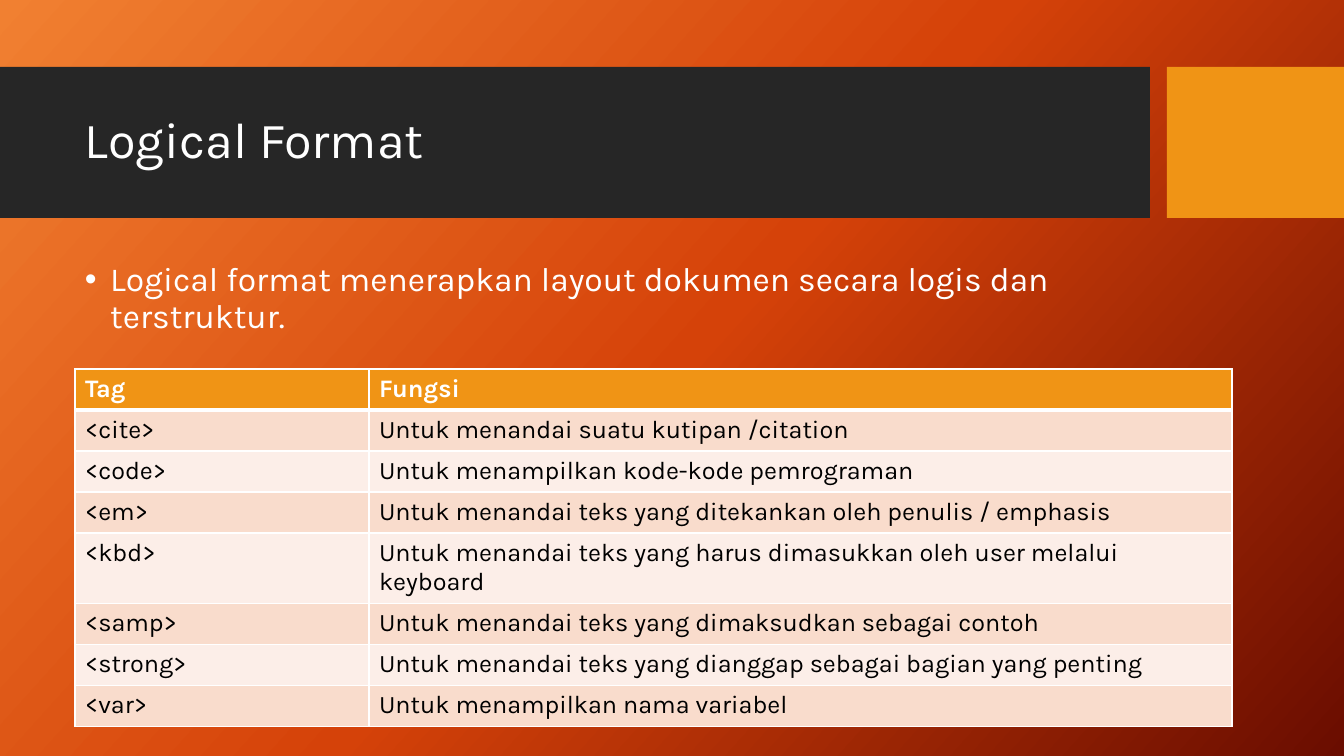
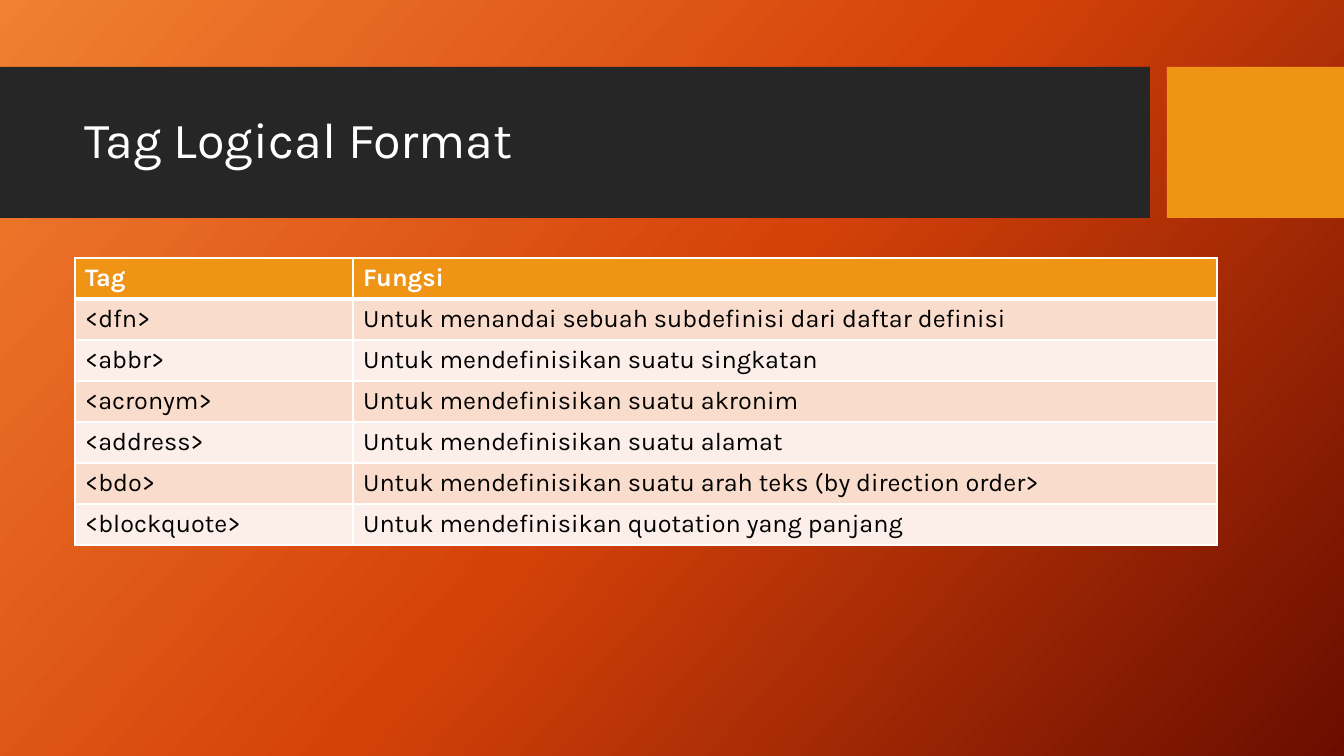
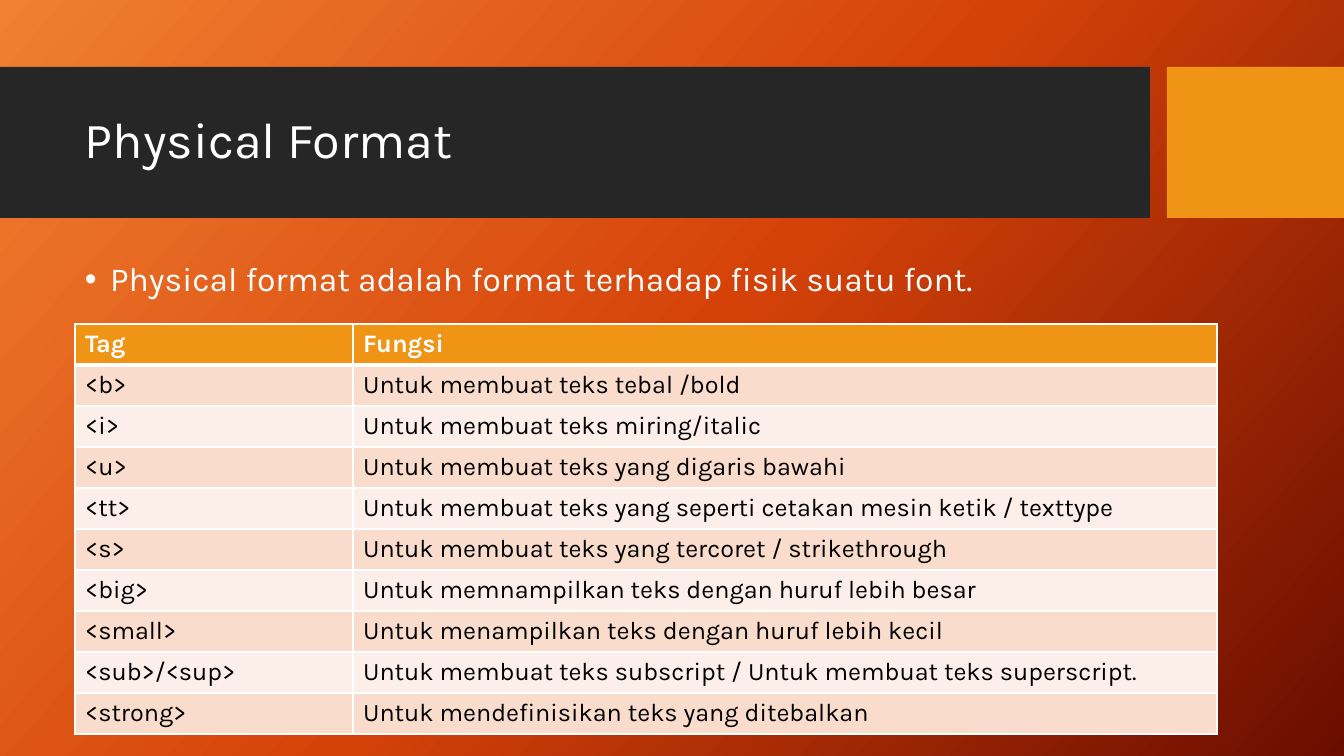
"""Build three slides on logical and physical HTML text formatting tags."""
import copy
import dataclasses

import lxml.etree
import pptx
import pptx.dml.color
import pptx.enum.shapes
import pptx.enum.text
import pptx.oxml.ns
import pptx.util


@dataclasses.dataclass(frozen=True)
class Theme:
    font: str = "Karla"
    background: tuple = ("F18031", "D54209", "6A0D00")
    background_angle: int = 42
    band: str = "262626"
    accent: str = "F09415"
    light: str = "FFFFFF"
    dark: str = "000000"
    odd_row: str = "F9DCCC"
    even_row: str = "FCEEE8"
    title_size: int = 36
    body_size: int = 24
    table_size: int = 18


theme = Theme()
PIXEL = 12192000 / 1344
ROW_HEIGHT = 41
TABLE_LEFT = 75
BODY_TOP = 258
BANDS = [((0, 67, 1150, 151), theme.band), ((1167, 67, 177, 151), theme.accent)]
TITLE_BOX = (75, 83, 1059, 119)
BODY_BOX = (75, BODY_TOP, 1059, 397)
HEADER = ("Tag", "Fungsi")

SLIDES = [
    {
        "title": "Logical Format",
        "body": "Logical format menerapkan layout dokumen secara logis dan terstruktur.",
        "table_top": 369,
        "columns": (294, 863),
        "rows": [
            ("<cite>", "Untuk menandai suatu kutipan /citation"),
            ("<code>", "Untuk menampilkan kode-kode pemrograman"),
            ("<em>", "Untuk menandai teks yang ditekankan oleh penulis / emphasis"),
            ("<kbd>", "Untuk menandai teks yang harus dimasukkan oleh user melalui keyboard"),
            ("<samp>", "Untuk menandai teks yang dimaksudkan sebagai contoh"),
            ("<strong>", "Untuk menandai teks yang dianggap sebagai bagian yang penting"),
            ("<var>", "Untuk menampilkan nama variabel"),
        ],
    },
    {
        "title": "Tag Logical Format",
        "body": None,
        "table_top": BODY_TOP,
        "columns": (278, 864),
        "rows": [
            ("<dfn>", "Untuk menandai sebuah subdefinisi dari daftar definisi"),
            ("<abbr>", "Untuk mendefinisikan suatu singkatan"),
            ("<acronym>", "Untuk mendefinisikan suatu akronim"),
            ("<address>", "Untuk mendefinisikan suatu alamat"),
            ("<bdo>", "Untuk mendefinisikan suatu arah teks (by direction order>"),
            ("<blockquote>", "Untuk mendefinisikan quotation yang panjang"),
        ],
    },
    {
        "title": "Physical Format",
        "body": "Physical format adalah format terhadap fisik suatu font.",
        "table_top": 324,
        "columns": (278, 864),
        "rows": [
            ("<b>", "Untuk membuat teks tebal /bold"),
            ("<i>", "Untuk membuat teks miring/italic"),
            ("<u>", "Untuk membuat teks yang digaris bawahi"),
            ("<tt>", "Untuk membuat teks yang seperti cetakan mesin ketik / texttype"),
            ("<s>", "Untuk membuat teks yang tercoret / strikethrough"),
            ("<big>", "Untuk memnampilkan teks dengan huruf lebih besar"),
            ("<small>", "Untuk menampilkan teks dengan huruf lebih kecil"),
            ("<sub>/<sup>", "Untuk membuat teks subscript / Untuk membuat teks superscript."),
            ("<strong>", "Untuk mendefinisikan teks yang ditebalkan"),
        ],
    },
]


def emu(*pixels):
    """Turn pixel lengths into EMU."""
    return [pptx.util.Emu(round(pixel * PIXEL)) for pixel in pixels]


def write_text(text_frame, text, size, color, bold=False):
    """Set the text, format its run and return its paragraph."""
    text_frame.text = text
    text_frame.word_wrap = True
    paragraph = text_frame.paragraphs[0]
    font = paragraph.runs[0].font
    font.name = theme.font
    font.size = pptx.util.Pt(size)
    font.bold = bold
    font.color.rgb = pptx.dml.color.RGBColor.from_string(color)
    return paragraph


qn = pptx.oxml.ns.qn
presentation = pptx.Presentation()
presentation.slide_width, presentation.slide_height = emu(1344, 756)

master = presentation.slide_master
background = master.background.fill
background.gradient()
background.gradient_angle = 360 - theme.background_angle
stop_list = master.element.find(".//" + qn("a:gsLst"))
stop_list.append(copy.deepcopy(stop_list[0]))
for index, stop in enumerate(background.gradient_stops):
    stop.position = index / 2
    stop.color.rgb = pptx.dml.color.RGBColor.from_string(theme.background[index])

for content in SLIDES:
    slide = presentation.slides.add_slide(presentation.slide_layouts[6])

    for box, color in BANDS:
        band = slide.shapes.add_shape(pptx.enum.shapes.MSO_SHAPE.RECTANGLE, *emu(*box))
        band.shadow.inherit = False
        band.fill.solid()
        band.fill.fore_color.rgb = pptx.dml.color.RGBColor.from_string(color)
        band.line.fill.background()

    title = slide.shapes.add_textbox(*emu(*TITLE_BOX)).text_frame
    title.vertical_anchor = pptx.enum.text.MSO_ANCHOR.MIDDLE
    paragraph = write_text(title, content["title"], theme.title_size, theme.light)
    paragraph.line_spacing = 0.9

    if content["body"]:
        body = slide.shapes.add_textbox(*emu(*BODY_BOX)).text_frame
        paragraph = write_text(body, content["body"], theme.body_size, theme.light)
        paragraph.line_spacing = 0.9
        paragraph.space_before = pptx.util.Pt(10)
        properties = paragraph._p.get_or_add_pPr()
        indent = pptx.util.Inches(0.25)
        properties.set("marL", str(indent))
        properties.set("indent", str(-indent))
        lxml.etree.SubElement(properties, qn("a:buFont"), typeface="Arial")
        lxml.etree.SubElement(properties, qn("a:buChar"), char="•")

    rows = [HEADER] + content["rows"]
    columns = content["columns"]
    table_box = (TABLE_LEFT, content["table_top"], sum(columns), ROW_HEIGHT * len(rows))
    table = slide.shapes.add_table(len(rows), len(columns), *emu(*table_box)).table
    for column, width in zip(table.columns, emu(*columns)):
        column.width = width

    for row_index, row in enumerate(rows):
        table.rows[row_index].height = emu(ROW_HEIGHT)[0]
        is_header = row_index == 0
        row_fill = theme.odd_row if row_index % 2 else theme.even_row
        for column_index, text in enumerate(row):
            cell = table.cell(row_index, column_index)
            color = theme.light if is_header else theme.dark
            write_text(cell.text_frame, text, theme.table_size, color, is_header)
            cell_properties = cell._tc.get_or_add_tcPr()
            for side in ("lnL", "lnR", "lnT", "lnB"):
                thick = (row_index, side) in ((0, "lnB"), (1, "lnT"))
                width = pptx.util.Pt(3 if thick else 1)
                border = lxml.etree.SubElement(cell_properties, qn("a:" + side), w=str(width))
                border_fill = lxml.etree.SubElement(border, qn("a:solidFill"))
                lxml.etree.SubElement(border_fill, qn("a:srgbClr"), val=theme.light)
            cell.fill.solid()
            cell.fill.fore_color.rgb = pptx.dml.color.RGBColor.from_string(
                theme.accent if is_header else row_fill
            )

presentation.save("out.pptx")
